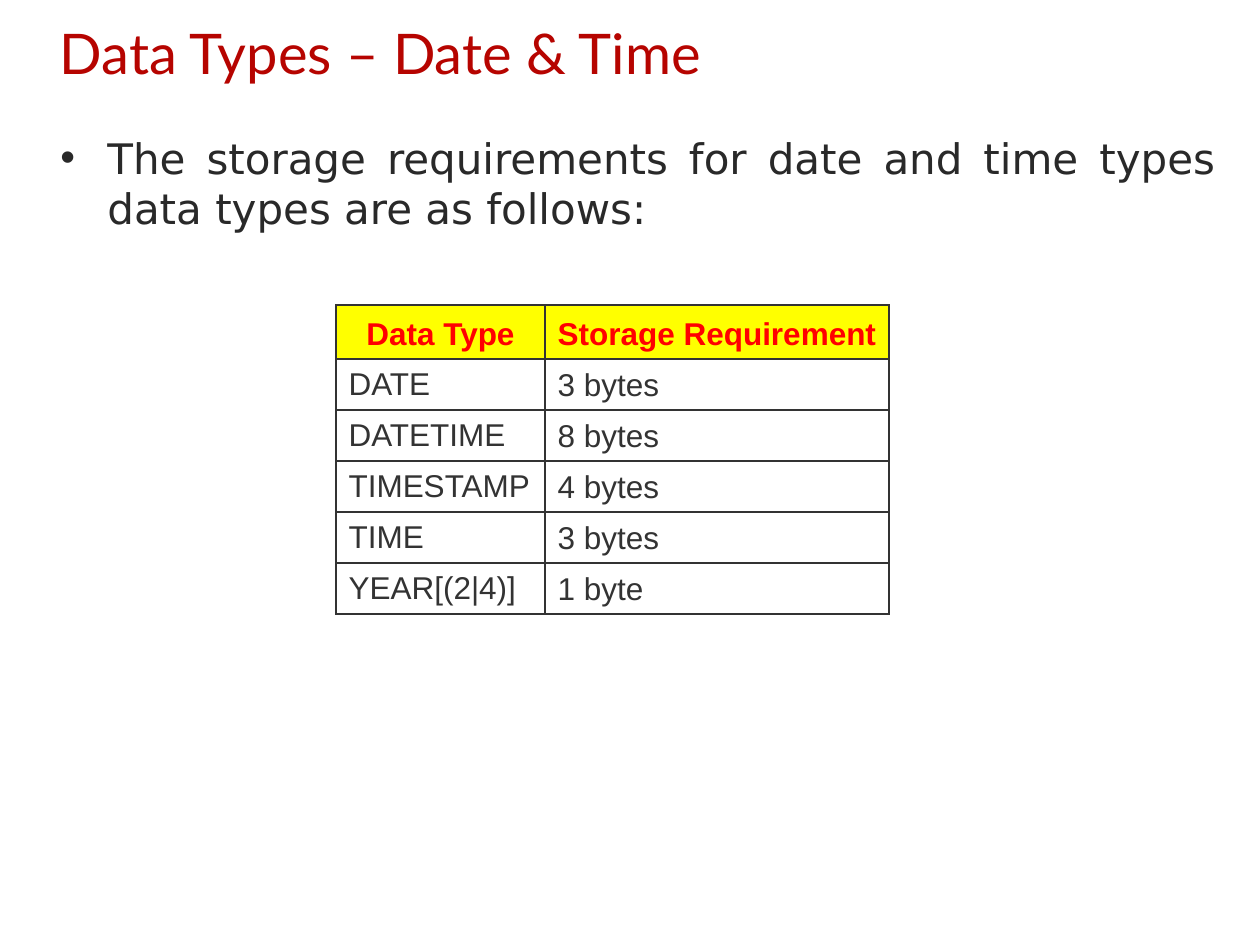
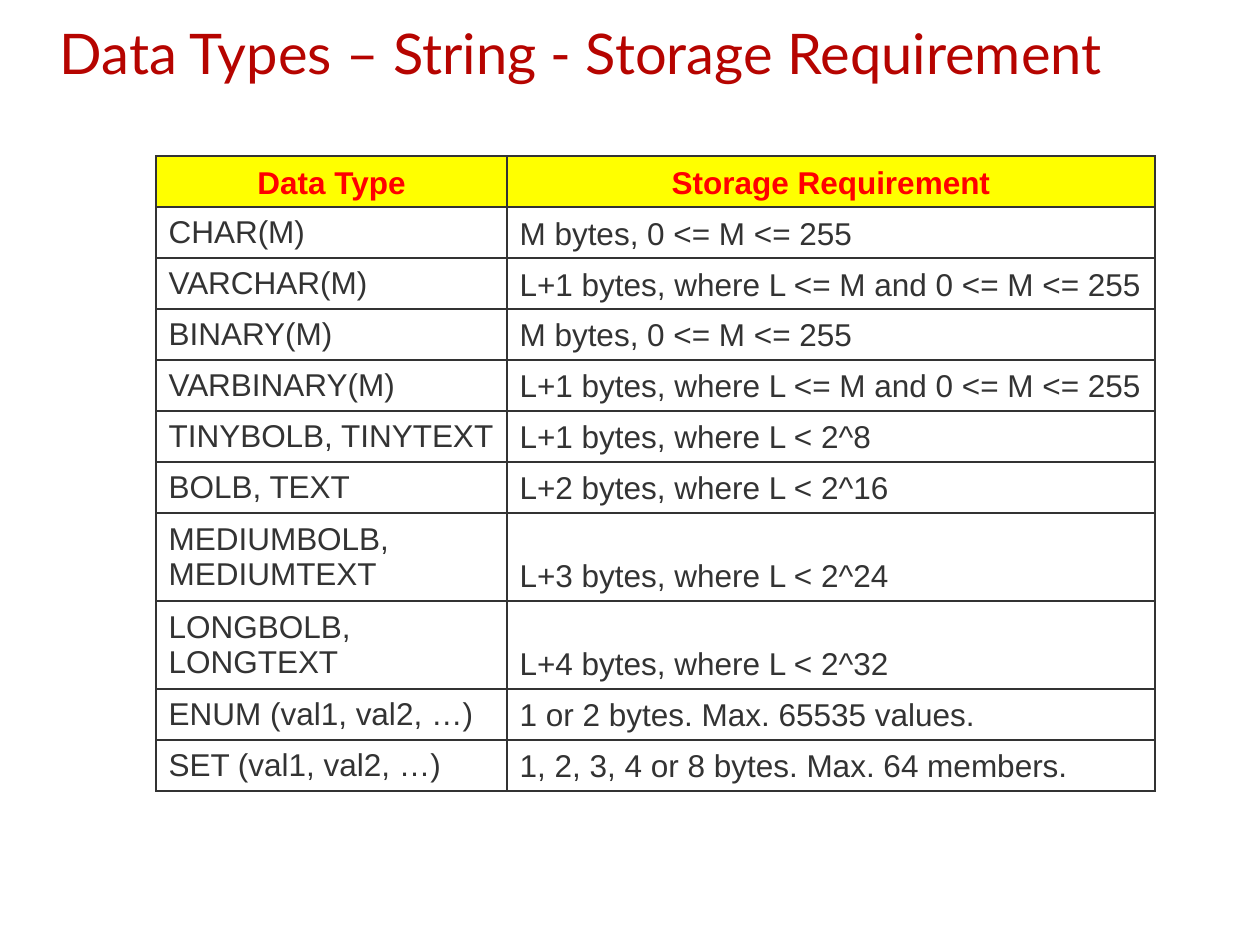
from lxml import etree
from pptx import Presentation
from pptx import util as u
from pptx.dml.color import RGBColor
from pptx.enum import text
from pptx.oxml import ns

PX = 914400 / 126
TITLE_RED, BODY_INK, TABLE_INK = "B60400", "292929", "333333"
HEADER_INK, HEADER_FILL = "FF0000", "FFFF00"
HEADER = ("Data Type", "Storage Requirement")
ROW_HEIGHT, TWO_LINE_HEIGHT = 51, 88

slides = [
    {
        "title": "Data Types – Date & Time",
        "bullet": "The storage requirements for date and time types data types are as follows:",
        "corner": (336, 305),
        "columns": (209, 344),
        "header_height": 54,
        "rows": [
            ("DATE", "3 bytes"),
            ("DATETIME", "8 bytes"),
            ("TIMESTAMP", "4 bytes"),
            ("TIME", "3 bytes"),
            ("YEAR[(2|4)]", "1 byte"),
        ],
    },
    {
        "title": "Data Types – String - Storage Requirement",
        "bullet": None,
        "corner": (156, 156),
        "columns": (351, 648),
        "header_height": ROW_HEIGHT,
        "rows": [
            ("CHAR(M)", "M bytes, 0 <= M <= 255"),
            ("VARCHAR(M)", "L+1 bytes, where L <= M and 0 <= M <= 255"),
            ("BINARY(M)", "M bytes, 0 <= M <= 255"),
            ("VARBINARY(M)", "L+1 bytes, where L <= M and 0 <= M <= 255"),
            ("TINYBOLB, TINYTEXT", "L+1 bytes, where L < 2^8"),
            ("BOLB, TEXT", "L+2 bytes, where L < 2^16"),
            ("MEDIUMBOLB,\nMEDIUMTEXT", "L+3 bytes, where L < 2^24"),
            ("LONGBOLB,\nLONGTEXT", "L+4 bytes, where L < 2^32"),
            ("ENUM (val1, val2, …)", "1 or 2 bytes. Max. 65535 values."),
            ("SET (val1, val2, …)", "1, 2, 3, 4 or 8 bytes. Max. 64 members."),
        ],
    },
]


def px(*lengths):
    return [u.Emu(round(length * PX)) for length in lengths]


def style(para, font, size, color, align, bold=False):
    para.alignment = align
    para.font.name = font
    para.font.size = u.Pt(size)
    para.font.bold = bold
    para.font.color.rgb = RGBColor.from_string(color)


deck = Presentation()
deck.slide_width, deck.slide_height = px(1260, 945)

for content in slides:
    page = deck.slides.add_slide(deck.slide_layouts.get_by_name("Title Only"))

    title = page.shapes.title
    title.left, title.top, title.width, title.height = px(47, 0, 1166, 105)
    title.text_frame.text = content["title"]
    title.text_frame.auto_size = text.MSO_AUTO_SIZE.NONE
    title.text_frame.vertical_anchor = text.MSO_ANCHOR.MIDDLE
    style(title.text_frame.paragraphs[0], "Lato", 32, TITLE_RED, text.PP_ALIGN.LEFT)

    if content["bullet"]:
        box = page.shapes.add_textbox(*px(48, 126, 1180, 136))
        box.text_frame.word_wrap = True
        para = box.text_frame.paragraphs[0]
        para.text = content["bullet"]
        style(para, "DejaVu Sans", 24, BODY_INK, text.PP_ALIGN.JUSTIFY)
        para.space_before = u.Pt(6)
        props = para._p.get_or_add_pPr()
        indent = px(47)[0]
        props.set("marL", str(indent))
        props.set("indent", str(-indent))
        etree.SubElement(props, ns.qn("a:buFont")).set("typeface", "Arial")
        etree.SubElement(props, ns.qn("a:buChar")).set("char", "•")
        props.append(props.find(ns.qn("a:defRPr")))

    rows = [HEADER] + content["rows"]
    heights = [content["header_height"]]
    heights += [TWO_LINE_HEIGHT if "\n" in name else ROW_HEIGHT for name, _ in content["rows"]]
    table = page.shapes.add_table(
        len(rows), len(HEADER), *px(*content["corner"], sum(content["columns"]), sum(heights))
    ).table
    table.horz_banding = False
    for column, width in zip(table.columns, px(*content["columns"])):
        column.width = width
    for row, height in zip(table.rows, px(*heights)):
        row.height = height

    for r, values in enumerate(rows):
        for c, value in enumerate(values):
            cell = table.cell(r, c)
            cell.text = value
            is_header = r == 0
            centred = c == 0 and not is_header
            cell.vertical_anchor = text.MSO_ANCHOR.MIDDLE if centred else text.MSO_ANCHOR.BOTTOM
            for para in cell.text_frame.paragraphs:
                if is_header:
                    style(para, "Arial", 18, HEADER_INK, text.PP_ALIGN.CENTER, bold=True)
                else:
                    style(para, "Arial", 18, TABLE_INK, text.PP_ALIGN.LEFT)
            cell_props = cell._tc.get_or_add_tcPr()
            for side in ("lnL", "lnR", "lnT", "lnB"):
                line = etree.SubElement(cell_props, ns.qn(f"a:{side}"), w=str(u.Pt(1.08)))
                line_fill = etree.SubElement(line, ns.qn("a:solidFill"))
                etree.SubElement(line_fill, ns.qn("a:srgbClr"), val=TABLE_INK)
            if is_header:
                cell.fill.solid()
                cell.fill.fore_color.rgb = RGBColor.from_string(HEADER_FILL)
            else:
                cell.fill.background()

deck.save("out.pptx")
